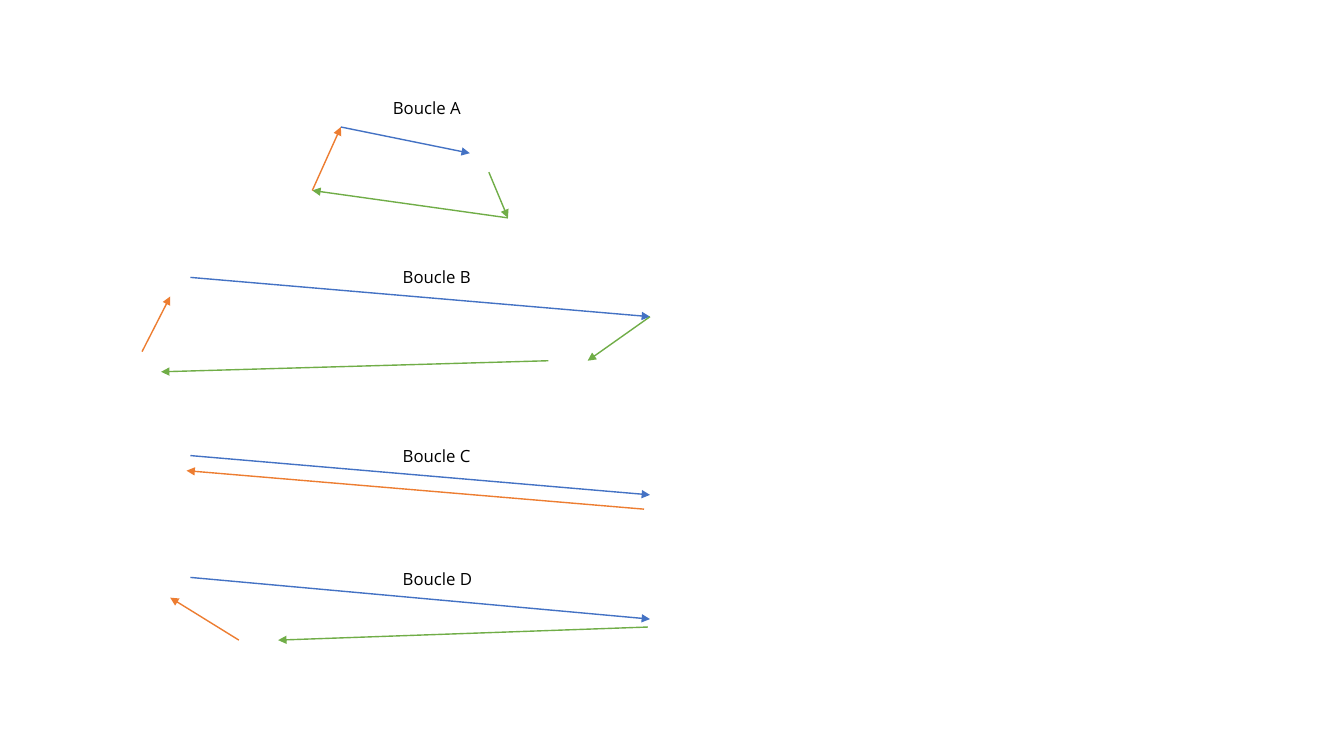
from dataclasses import dataclass

from lxml import etree
from pptx import Presentation
from pptx.dml.color import RGBColor
from pptx.enum.shapes import MSO_CONNECTOR as CONN
from pptx.enum.text import MSO_AUTO_SIZE as AUTO
from pptx.oxml.ns import qn
from pptx.util import Cm, Pt


@dataclass(frozen=True)
class Theme:
    blue: str = "4472C4"
    green: str = "70AD47"
    orange: str = "ED7D31"
    text: str = "000000"
    font: str = "Open Sans"
    label_size: float = 12
    line_width: float = 1


THEME = Theme()
LABEL_W, LABEL_H = 2.3, 0.76

# Each loop: title, label corner, arrows as (colour, start, end), all in cm
LOOPS = [
    ("Boucle A", (9.65, 2.34), [
        (THEME.blue, (8.59, 3.2), (11.84, 3.86)),
        (THEME.green, (12.32, 4.34), (12.8, 5.49)),
        (THEME.green, (12.8, 5.49), (7.87, 4.8)),
        (THEME.orange, (7.87, 4.8), (8.59, 3.2)),
    ]),
    ("Boucle B", (9.9, 6.59), [
        (THEME.blue, (4.8, 6.99), (16.38, 7.98)),
        (THEME.green, (16.38, 7.98), (14.81, 9.09)),
        (THEME.green, (13.82, 9.09), (4.06, 9.37)),
        (THEME.orange, (3.58, 8.86), (4.29, 7.47)),
    ]),
    ("Boucle C", (9.9, 11.1), [
        (THEME.blue, (4.8, 11.48), (16.38, 12.47)),
        (THEME.orange, (16.23, 12.83), (4.7, 11.86)),
    ]),
    ("Boucle D", (9.9, 14.21), [
        (THEME.blue, (4.8, 14.55), (16.38, 15.6)),
        (THEME.green, (16.33, 15.8), (7.01, 16.13)),
        (THEME.orange, (6.02, 16.13), (4.29, 15.06)),
    ]),
]


def add_arrow(shapes, color, start, end):
    points = [Cm(v) for v in (*start, *end)]
    c = shapes.add_connector(CONN.STRAIGHT, *points)
    c.line.color.rgb = RGBColor.from_string(color)
    c.line.width = Pt(THEME.line_width)
    # Arrowhead at the end, no shadow
    ln = c._element.spPr.find(qn("a:ln"))
    etree.SubElement(ln, qn("a:tailEnd"), type="triangle")
    etree.SubElement(c._element.spPr, qn("a:effectLst"))


def add_label(shapes, text, corner):
    box = shapes.add_textbox(*map(Cm, (*corner, LABEL_W, LABEL_H)))
    tf = box.text_frame
    tf.word_wrap = False
    tf.auto_size = AUTO.SHAPE_TO_FIT_TEXT
    p = tf.paragraphs[0]
    p.text = text
    p.font.name = THEME.font
    p.font.size = Pt(THEME.label_size)
    p.font.color.rgb = RGBColor.from_string(THEME.text)


def add_loop(s, title, corner, arrows):
    group = s.shapes.add_group_shape()
    for arrow in arrows:
        add_arrow(group.shapes, *arrow)
    add_label(group.shapes, title, corner)


def main():
    prs = Presentation()
    prs.slide_width, prs.slide_height = Cm(33.87), Cm(19.05)
    s = prs.slides.add_slide(prs.slide_layouts[6])
    for loop in LOOPS:
        add_loop(s, *loop)
    prs.save("out.pptx")


if __name__ == "__main__":
    main()
